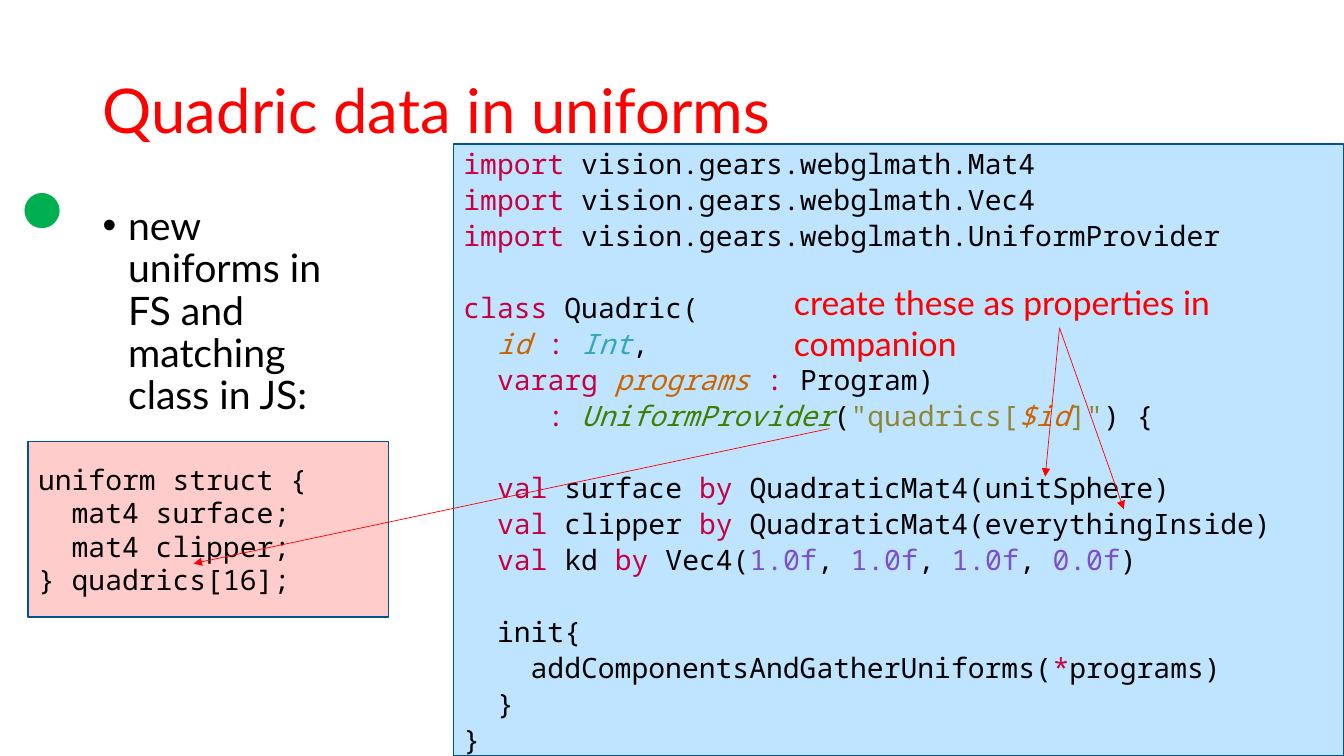
from dataclasses import dataclass
from typing import NamedTuple

import pptx
import pptx.dml.color
import pptx.enum.shapes
import pptx.enum.text
import pptx.oxml
import pptx.oxml.ns
import pptx.util

Cm = pptx.util.Cm
Pt = pptx.util.Pt
RGBColor = pptx.dml.color.RGBColor
ANCHOR = pptx.enum.text.MSO_ANCHOR

RED = RGBColor(0xFF, 0x00, 0x00)
GREEN = RGBColor(0x00, 0xB0, 0x50)
BLACK = RGBColor(0x00, 0x00, 0x00)
BORDER = RGBColor(0x00, 0x53, 0x8E)
PINK = RGBColor(0xFF, 0xCC, 0xCC)
SKY = RGBColor(0xBF, 0xE4, 0xFF)
CRIMSON = RGBColor(0xC7, 0x00, 0x40)
ORANGE = RGBColor(0xCB, 0x65, 0x00)
TEAL = RGBColor(0x34, 0xA7, 0xBD)
OLIVE = RGBColor(0x8F, 0x86, 0x34)
LEAF = RGBColor(0x42, 0x7E, 0x00)
VIOLET = RGBColor(0x7C, 0x4F, 0xCD)

SANS = "Lato"
MONO = "Noto Sans Mono"
CODE_LINE = 25.7  # points taken by one line of the class listing


class Box(NamedTuple):
    """Left, top, width and height in centimetres."""
    left: float
    top: float
    width: float
    height: float


class Run(NamedTuple):
    text: str
    color: RGBColor = BLACK
    italic: bool = False


@dataclass
class Line:
    runs: list[Run]
    space_before: float = 0


@dataclass
class Arrow:
    start: tuple[float, float]
    end: tuple[float, float]


def keyword(text: str) -> Run:
    return Run(text, CRIMSON)


def param(text: str) -> Run:
    return Run(text, ORANGE, True)


def import_line(name: str) -> Line:
    return Line([keyword("import "), Run("vision.gears.webglmath." + name)])


def val_line(name: str, *value: Run, space_before: float = 0) -> Line:
    return Line([Run("  "), keyword("val "), Run(name + " "), keyword("by "), *value],
                space_before)


def plain(text: str, color: RGBColor = BLACK) -> list[Line]:
    return [Line([Run(row, color)]) for row in text.split("\n")]


STRUCT_CODE = """uniform struct {
  mat4 surface;
  mat4 clipper;
} quadrics[16];"""

CLASS_CODE = [
    import_line("Mat4"),
    import_line("Vec4"),
    import_line("UniformProvider"),
    Line([keyword("class "), Run("Quadric(")], CODE_LINE),
    Line([Run("  "), param("id "), keyword(": "), Run("Int", TEAL, True), Run(",")]),
    Line([Run("  "), keyword("vararg "), param("programs "), keyword(": "),
          Run("Program)")]),
    Line([Run("     "), keyword(": "), Run("UniformProvider", LEAF, True), Run("("),
          Run('"quadrics[', OLIVE), param("$id"), Run(']"', OLIVE), Run(") {")]),
    val_line("surface", Run("QuadraticMat4(unitSphere)"), space_before=CODE_LINE),
    val_line("clipper", Run("QuadraticMat4(everythingInside)")),
    val_line("kd", Run("Vec4("), Run("1.0f", VIOLET), Run(", "), Run("1.0f", VIOLET),
             Run(", "), Run("1.0f", VIOLET), Run(", "), Run("0.0f", VIOLET), Run(")")),
    Line([Run("  init{")], CODE_LINE),
    Line([Run("    addComponentsAndGatherUniforms("), keyword("*"), Run("programs)")]),
    *plain("  }\n}"),
]

ARROWS = [
    Arrow((20.9, 10.8), (4.88, 14.2)),
    Arrow((26.7, 8.26), (26.34, 12.01)),
    Arrow((26.7, 8.26), (28.32, 12.83)),
]


def add_bullet(p) -> None:
    pPr = p._p.get_or_add_pPr()
    pPr.set("marL", str(Cm(0.64)))
    pPr.set("indent", str(Cm(-0.64)))
    ns = pptx.oxml.ns.nsdecls("a")
    pPr.append(pptx.oxml.parse_xml(f'<a:buFont {ns} typeface="Arial"/>'))
    pPr.append(pptx.oxml.parse_xml(f'<a:buChar {ns} char="•"/>'))


def add_text(slide, box: Box, lines: list[Line], *, size: float, font: str = SANS,
             fill: RGBColor | None = None, anchor=ANCHOR.TOP,
             spacing: float | None = None, bullet: bool = False) -> None:
    """Draw text in a bordered rectangle when fill is given, else in a text box."""
    place = [Cm(v) for v in box]
    if fill is None:
        sp = slide.shapes.add_textbox(*place)
    else:
        sp = slide.shapes.add_shape(pptx.enum.shapes.MSO_SHAPE.RECTANGLE, *place)
        sp.shadow.inherit = False
        sp.fill.solid()
        sp.fill.fore_color.rgb = fill
        sp.line.color.rgb = BORDER
        sp.line.width = Pt(1)
    tf = sp.text_frame
    tf.word_wrap = True
    tf.vertical_anchor = anchor
    for i, line in enumerate(lines):
        p = tf.add_paragraph() if i else tf.paragraphs[0]
        if bullet:
            add_bullet(p)
        p.alignment = pptx.enum.text.PP_ALIGN.LEFT
        if spacing:
            p.line_spacing = spacing
        if line.space_before:
            p.space_before = Pt(line.space_before)
        for run in line.runs:
            r = p.add_run()
            r.text = run.text
            r.font.name = font
            r.font.size = Pt(size)
            r.font.italic = run.italic
            r.font.color.rgb = run.color


def add_arrow(slide, arrow: Arrow) -> None:
    ends = [Cm(v) for v in arrow.start + arrow.end]
    cxn = slide.shapes.add_connector(pptx.enum.shapes.MSO_CONNECTOR.STRAIGHT, *ends)
    cxn.line.color.rgb = RED
    cxn.line.width = Pt(0.5)
    ns = pptx.oxml.ns.nsdecls("a")
    cxn.line._get_or_add_ln().append(
        pptx.oxml.parse_xml(f'<a:tailEnd {ns} type="triangle"/>'))
    cxn._element.spPr.append(pptx.oxml.parse_xml(f"<a:effectLst {ns}/>"))


def main() -> None:
    prs = pptx.Presentation()
    prs.slide_width, prs.slide_height = Cm(33.87), Cm(19.05)
    slide = prs.slides.add_slide(prs.slide_layouts[6])

    add_text(slide, Box(2.34, 1.02, 29.21, 3.68), plain("Quadric data in uniforms", RED),
             size=44, anchor=ANCHOR.MIDDLE, spacing=0.9)
    add_text(slide, Box(2.34, 5.08, 6.45, 12.09),
             plain("new uniforms in FS and matching class in JS:"),
             size=28, spacing=0.9, bullet=True)
    add_text(slide, Box(0.71, 11.13, 9.09, 4.42), plain(STRUCT_CODE),
             size=20, font=MONO, fill=PINK, anchor=ANCHOR.MIDDLE)
    add_text(slide, Box(11.43, 3.63, 22.43, 15.42), CLASS_CODE,
             size=20, font=MONO, fill=SKY, anchor=ANCHOR.MIDDLE, spacing=1.07)
    add_text(slide, Box(0, -1.47, 1.45, 8.81), plain(".", GREEN), size=200)
    add_text(slide, Box(19.76, 6.99, 13.94, 1.27),
             plain("create these as properties in companion", RED), size=24)
    for arrow in ARROWS:
        add_arrow(slide, arrow)

    prs.save("out.pptx")


if __name__ == "__main__":
    main()
